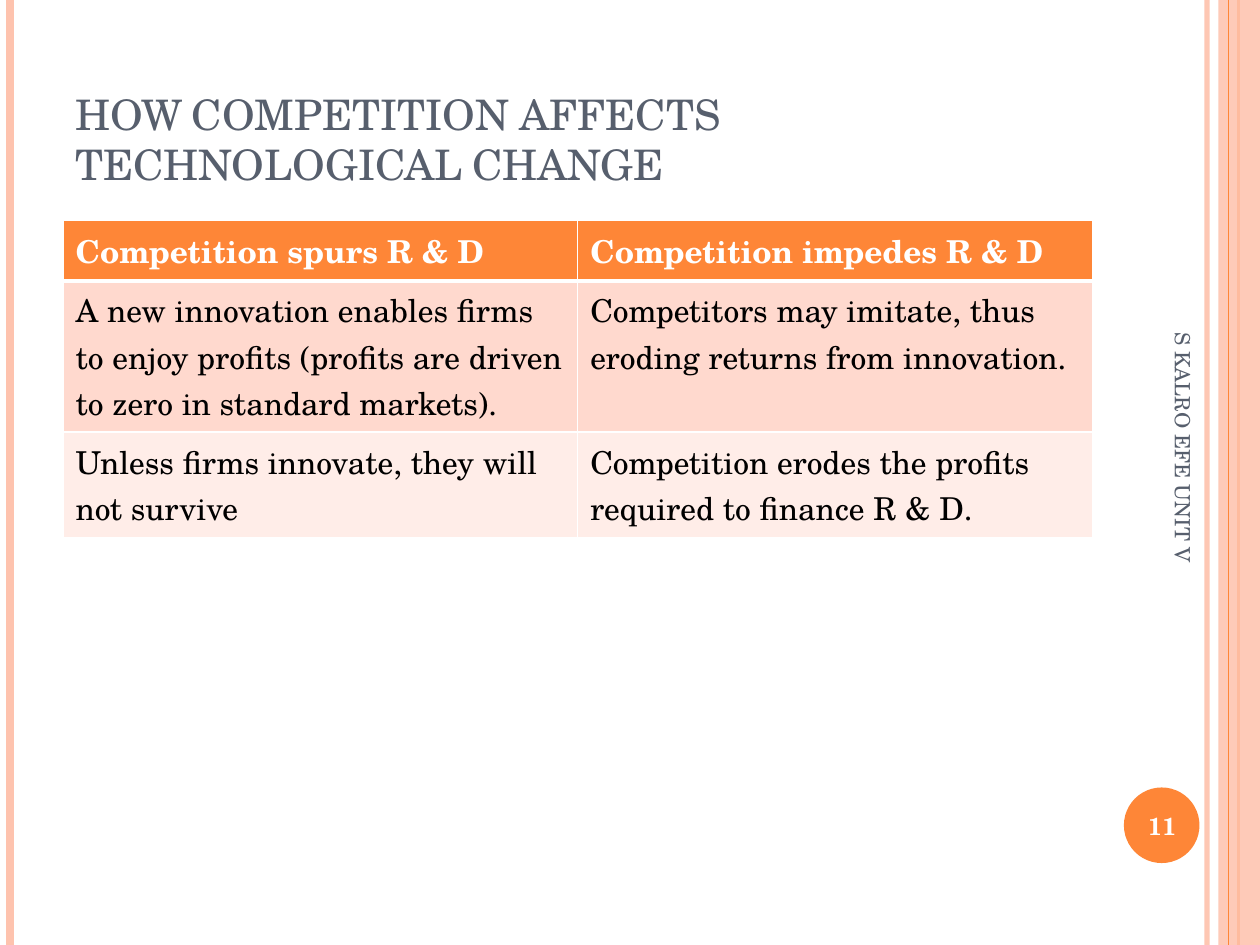
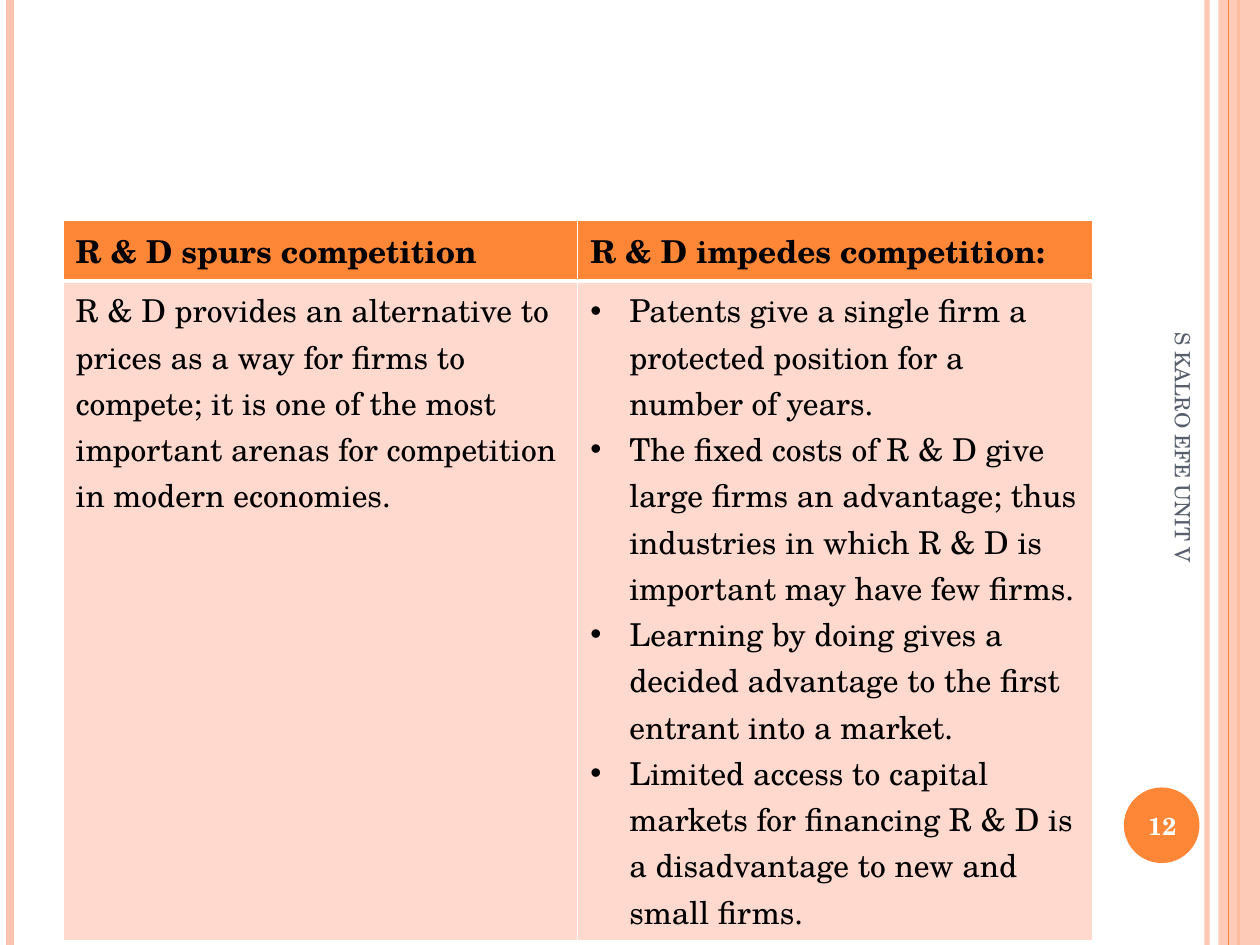
import pptx
import pptx.util
import pptx.dml.color
import pptx.enum.shapes
import pptx.enum.text
import pptx.oxml
import pptx.oxml.ns
from pptx.util import Inches

FONT = "TeX Gyre Schola"
WHITE, BLACK, SLATE = "FFFFFF", "000000", "575F6D"
ORANGE, PEACH = "FE8637", "FEC3AE"
ROW_FILLS = [ORANGE, "FFD9CE", "FFEDE8"]
FOOTER = "S KALRO EFE UNIT V"

RULES = [
    (9.58, PEACH, 3, 93),
    (0.08, PEACH, 4.5, 100),
    (9.83, ORANGE, 1.5, 100),
    (9.75, ORANGE, 0.75, 100),
]

SLIDES = [
    {
        "number": 11,
        "title": "HOW COMPETITION AFFECTS TECHNOLOGICAL CHANGE",
        "header_color": WHITE,
        "row_heights": [0.48, 1.2, 0.84],
        "rows": [
            [["Competition spurs R & D"], ["Competition impedes R & D"]],
            [["A new innovation enables firms to enjoy profits (profits are driven to zero in standard markets)."],
             ["Competitors may imitate, thus eroding returns from innovation."]],
            [["Unless firms innovate, they will not survive"],
             ["Competition erodes the profits", "required to finance R & D."]],
        ],
    },
    {
        "number": 12,
        "header_color": BLACK,
        "row_heights": [0.48, 5.24],
        "bulleted_cell": (1, 1),
        "rows": [
            [["R & D spurs competition"], ["R & D impedes competition:"]],
            [["R & D provides an alternative to prices as a way for firms to compete; "
              "it is one of the most important arenas for competition in modern economies."],
             ["Patents give a single firm a protected position for a number of years.",
              "The fixed costs of R & D give large firms an advantage; "
              "thus industries in which R & D is important may have few firms.",
              "Learning by doing gives a decided advantage to the first entrant into a market.",
              "Limited access to capital markets for financing R & D is "
              "a disadvantage to new and small firms."]],
        ],
    },
]


def rgb(color):
    return pptx.dml.color.RGBColor.from_string(color)


def add_xml(parent, tag, **attributes):
    child = pptx.oxml.parse_xml(f'<a:{tag} {pptx.oxml.ns.nsdecls("a")}/>')
    for name, value in attributes.items():
        child.set(name, str(value))
    parent.append(child)
    return child


def set_alpha(element, percent):
    if percent < 100:
        add_xml(next(element.iter(pptx.oxml.ns.qn("a:srgbClr"))), "alpha", val=percent * 1000)


def write(frame, paragraphs, size=18, color=BLACK, bold=False, align=None,
          bullet=False, small_caps=False):
    frame.word_wrap = True
    for index, text in enumerate(paragraphs):
        paragraph = frame.paragraphs[0] if index == 0 else frame.add_paragraph()
        if bullet:
            properties = paragraph._p.get_or_add_pPr()
            properties.set("marL", str(Inches(0.31)))
            properties.set("indent", str(-Inches(0.31)))
            add_xml(properties, "buFont", typeface="Arial")
            add_xml(properties, "buChar", char="•")
        if align is not None:
            paragraph.alignment = align
        run = paragraph.add_run()
        run.text = text
        run.font.name = FONT
        run.font.size = pptx.util.Pt(size)
        run.font.bold = bold
        run.font.color.rgb = rgb(color)
        if small_caps:
            run._r.get_or_add_rPr().set("cap", "small")


def add_shape(slide, kind, box, color, alpha=100):
    shape = slide.shapes.add_shape(kind, *map(Inches, box))
    shape.shadow.inherit = False
    shape.fill.solid()
    shape.fill.fore_color.rgb = rgb(color)
    shape.line.fill.background()
    set_alpha(shape._element.spPr, alpha)


def add_rule(slide, x, color, width, alpha):
    rule = slide.shapes.add_connector(pptx.enum.shapes.MSO_CONNECTOR.STRAIGHT,
                                      Inches(x), 0, Inches(x), Inches(7.5))
    rule.line.color.rgb = rgb(color)
    rule.line.width = pptx.util.Pt(width)
    set_alpha(rule._element.spPr, alpha)
    add_xml(rule._element.spPr, "effectLst")


def add_label(slide, box, text, rotation=0, **style):
    label = slide.shapes.add_textbox(*map(Inches, box))
    label.rotation = rotation
    label.text_frame.vertical_anchor = pptx.enum.text.MSO_ANCHOR.MIDDLE
    write(label.text_frame, [text], **style)


def add_frame(slide, number):
    preset = pptx.enum.shapes.MSO_SHAPE
    for rule in RULES[:3]:
        add_rule(slide, *rule)
    add_shape(slide, preset.RECTANGLE, (9.67, 0, 0.33, 7.5), PEACH, 87)
    add_rule(slide, *RULES[3])
    add_shape(slide, preset.OVAL, (8.92, 6.25, 0.6, 0.6), ORANGE)
    add_label(slide, (8.89, 6.27, 0.67, 0.57), str(number), size=14, color=WHITE,
              bold=True, align=pptx.enum.text.PP_ALIGN.CENTER)
    add_label(slide, (7.64, 4.09, 3.5, 0.4), FOOTER, rotation=90, size=12, color=SLATE)


def set_borders(cell, row):
    properties = cell._tc.get_or_add_tcPr()
    widths = {"lnL": 1, "lnR": 1, "lnT": 3 if row == 1 else 1, "lnB": 3 if row == 0 else 1}
    for side, width in widths.items():
        border = add_xml(properties, side, w=pptx.util.Pt(width))
        add_xml(add_xml(border, "solidFill"), "srgbClr", val=WHITE)


def add_comparison(slide, rows, row_heights, header_color, bulleted_cell=None):
    table = slide.shapes.add_table(len(rows), 2, Inches(0.5), Inches(1.75),
                                   Inches(8.17), Inches(sum(row_heights))).table
    for r, row in enumerate(rows):
        table.rows[r].height = Inches(row_heights[r])
        for c, paragraphs in enumerate(row):
            cell = table.cell(r, c)
            set_borders(cell, r)
            cell.fill.solid()
            cell.fill.fore_color.rgb = rgb(ROW_FILLS[r])
            write(cell.text_frame, paragraphs, bold=r == 0,
                  color=header_color if r == 0 else BLACK, bullet=(r, c) == bulleted_cell)


def set_title(slide, text):
    title = slide.shapes.title
    title.left, title.top, title.width, title.height = map(Inches, (0.5, 0.3, 8.17, 1.25))
    frame = title.text_frame
    frame.auto_size = pptx.enum.text.MSO_AUTO_SIZE.NONE
    frame.vertical_anchor = pptx.enum.text.MSO_ANCHOR.BOTTOM
    write(frame, [text], size=24, color=SLATE, small_caps=True,
          align=pptx.enum.text.PP_ALIGN.LEFT)


def main():
    deck = pptx.Presentation()
    deck.slide_width, deck.slide_height = Inches(10), Inches(7.5)
    title_only, blank = deck.slide_layouts[5], deck.slide_layouts[6]
    for content in SLIDES:
        slide = deck.slides.add_slide(title_only if "title" in content else blank)
        add_frame(slide, content["number"])
        if "title" in content:
            set_title(slide, content["title"])
        add_comparison(slide, content["rows"], content["row_heights"],
                       content["header_color"], content.get("bulleted_cell"))
    deck.save("out.pptx")


if __name__ == "__main__":
    main()
